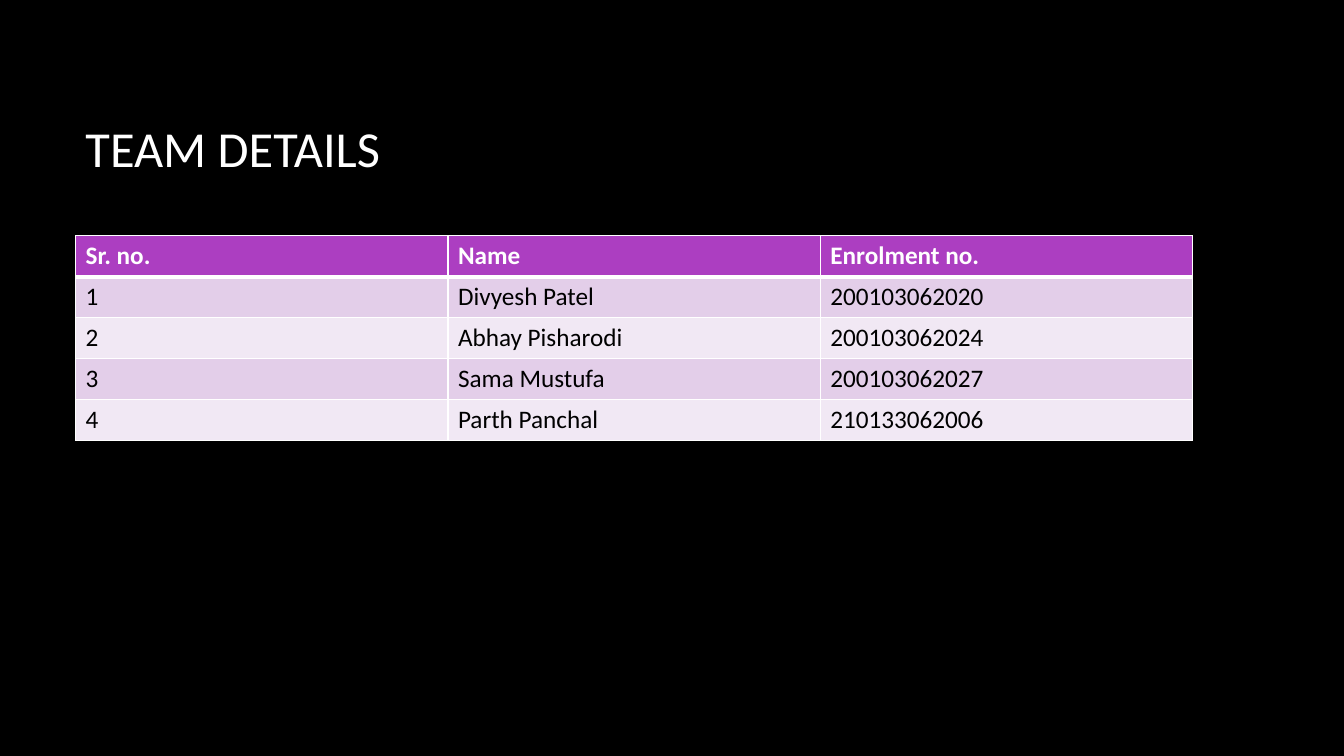
from lxml import etree
from pptx import Presentation
from pptx import util as u
from pptx.dml.color import RGBColor
from pptx.enum import text
from pptx.oxml.ns import qn

TITLE = "TEAM DETAILS"
HEADER = ("Sr. no.", "Name", "Enrolment no.")
MEMBERS = [
    ("1", "Divyesh Patel", "200103062020"),
    ("2", "Abhay Pisharodi", "200103062024"),
    ("3", "Sama Mustufa", "200103062027"),
    ("4", "Parth Panchal", "210133062006"),
]
COLORS = {
    "background": "000000",
    "light_text": "FFFFFF",
    "dark_text": "000000",
    "border": "FFFFFF",
    "header": "AC3EC1",
    "odd_row": "E3CEE9",
    "even_row": "F1E8F4",
}
FONT = "Calibri"
LEFT, WIDTH = 54, 798
TITLE_TOP, TITLE_HEIGHT = 48, 114.5
TABLE_TOP, ROW_HEIGHT = 168.5, 29.2
THIN, THICK = 1, 3


def color(name):
    """Return the named colour."""
    return RGBColor.from_string(COLORS[name])


def add_run(paragraph, words, size, color_name, bold=False):
    """Add one formatted run to a paragraph."""
    run = paragraph.add_run()
    run.text = words
    run.font.name = FONT
    run.font.size = u.Pt(size)
    run.font.bold = bold
    run.font.color.rgb = color(color_name)


def add_borders(cell, top, bottom):
    """Draw the four cell borders; call before the cell is filled."""
    properties = cell._tc.get_or_add_tcPr()
    for side, width in (("L", THIN), ("R", THIN), ("T", top), ("B", bottom)):
        line = etree.SubElement(properties, qn(f"a:ln{side}"), w=str(u.Pt(width)))
        fill = etree.SubElement(line, qn("a:solidFill"))
        etree.SubElement(fill, qn("a:srgbClr"), val=COLORS["border"])


def add_title(slide):
    """Add the slide title."""
    box = slide.shapes.add_textbox(
        u.Pt(LEFT), u.Pt(TITLE_TOP), u.Pt(WIDTH), u.Pt(TITLE_HEIGHT))
    frame = box.text_frame
    frame.word_wrap = True
    frame.vertical_anchor = text.MSO_ANCHOR.MIDDLE
    add_run(frame.paragraphs[0], TITLE, 36, "light_text")


def add_team_table(slide):
    """Add the table of members with a header and banded rows."""
    rows = [HEADER, *MEMBERS]
    table = slide.shapes.add_table(
        len(rows), len(HEADER), u.Pt(LEFT), u.Pt(TABLE_TOP),
        u.Pt(WIDTH), u.Pt(ROW_HEIGHT * len(rows))).table
    for row_index, values in enumerate(rows):
        is_header = row_index == 0
        band = "odd_row" if row_index % 2 else "even_row"
        for column_index, value in enumerate(values):
            cell = table.cell(row_index, column_index)
            add_borders(cell, top=THICK if row_index == 1 else THIN,
                        bottom=THICK if is_header else THIN)
            cell.fill.solid()
            cell.fill.fore_color.rgb = color("header" if is_header else band)
            add_run(cell.text_frame.paragraphs[0], value, 18,
                    "light_text" if is_header else "dark_text", is_header)


presentation = Presentation()
presentation.slide_width, presentation.slide_height = u.Pt(960), u.Pt(540)
slide = presentation.slides.add_slide(presentation.slide_layouts[6])
slide.background.fill.solid()
slide.background.fill.fore_color.rgb = color("background")
add_title(slide)
add_team_table(slide)
presentation.save("out.pptx")
